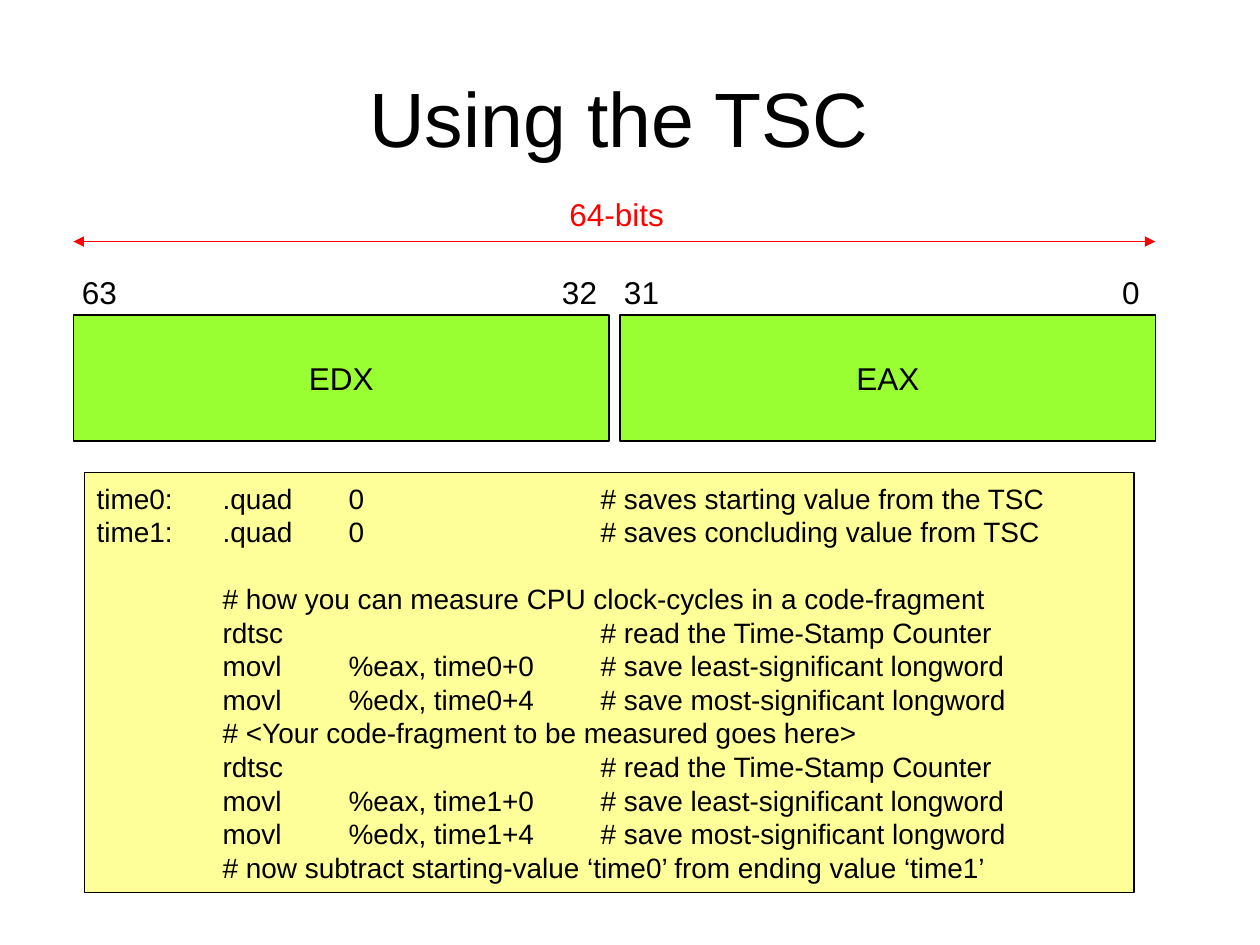
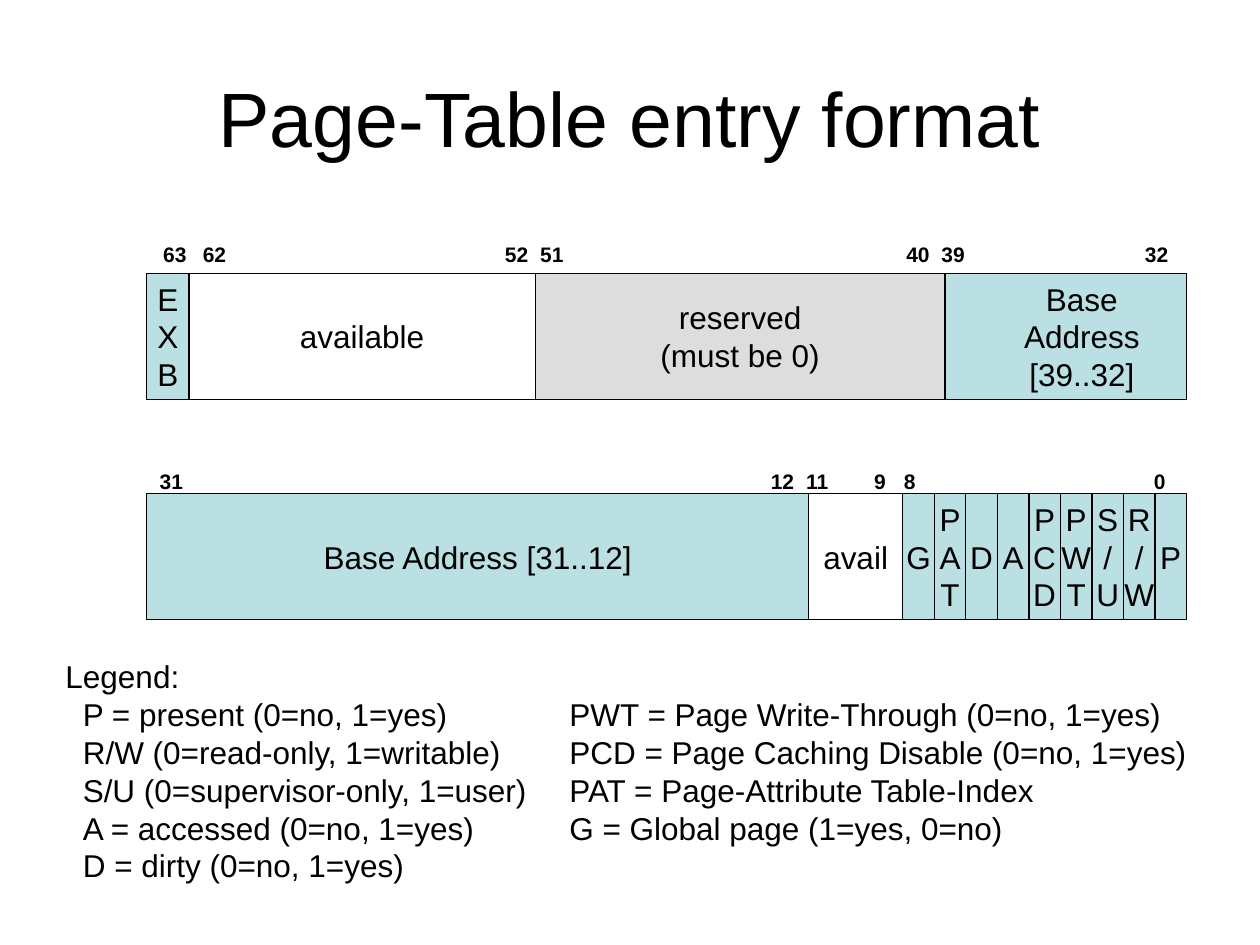
from dataclasses import dataclass
from lxml import etree
from pptx import Presentation
from pptx import util as u
from pptx.dml.color import RGBColor
from pptx.enum import shapes, text
from pptx.oxml import ns

Cm = u.Cm


@dataclass(frozen=True)
class Theme:
    font: str = "Arial"
    ink: str = "000000"
    red: str = "FF0000"
    white: str = "FFFFFF"
    green: str = "99FF33"
    yellow: str = "FFFF99"
    teal: str = "BBE0E3"
    grey: str = "DDDDDD"
    title: int = 44
    body: int = 18
    code: int = 16
    bits: int = 12
    line: float = 0.75


class Deck:
    def __init__(self, theme):
        self.theme = theme
        self.presentation = Presentation()
        self.presentation.slide_width = Cm(25.4)
        self.presentation.slide_height = Cm(19.05)
        self.slide = None

    def new_slide(self, title):
        layout = self.presentation.slide_layouts[6]
        self.slide = self.presentation.slides.add_slide(layout)
        self.label(1.27, 0.76, 22.86, 3.18, [title], size=self.theme.title,
                   align=text.PP_ALIGN.CENTER, anchor=text.MSO_ANCHOR.MIDDLE)

    def set_text(self, shape, lines, size=None, color=None, bold=False, tabs=(),
                 align=text.PP_ALIGN.LEFT, anchor=text.MSO_ANCHOR.TOP):
        frame = shape.text_frame
        frame.word_wrap = bool(tabs)
        frame.vertical_anchor = anchor
        if tabs:
            frame.margin_right = 0
        for index, line in enumerate(lines):
            paragraph = frame.add_paragraph() if index else frame.paragraphs[0]
            paragraph.text = line
            paragraph.alignment = align
            if tabs:
                self.set_tabs(paragraph, tabs)
            paragraph.font.name = self.theme.font
            paragraph.font.size = u.Pt(size or self.theme.body)
            paragraph.font.bold = bold
            paragraph.font.color.rgb = RGBColor.from_string(color or self.theme.ink)

    def set_tabs(self, paragraph, tabs):
        properties = paragraph._p.get_or_add_pPr()
        tab_list = etree.SubElement(properties, ns.qn("a:tabLst"))
        for position in tabs:
            etree.SubElement(tab_list, ns.qn("a:tab"), pos=str(Cm(position)), algn="l")

    def label(self, left, top, width, height, lines, **style):
        shape = self.slide.shapes.add_textbox(Cm(left), Cm(top), Cm(width), Cm(height))
        self.set_text(shape, lines, **style)

    def box(self, left, top, width, height, fill, lines, **style):
        shape = self.slide.shapes.add_shape(
            shapes.MSO_SHAPE.RECTANGLE, Cm(left), Cm(top), Cm(width), Cm(height))
        shape.shadow.inherit = False
        shape.fill.solid()
        shape.fill.fore_color.rgb = RGBColor.from_string(fill)
        shape.line.color.rgb = RGBColor.from_string(self.theme.ink)
        shape.line.width = u.Pt(self.theme.line)
        style.setdefault("align", text.PP_ALIGN.CENTER)
        self.set_text(shape, lines, anchor=text.MSO_ANCHOR.MIDDLE, **style)
        return shape

    def fields(self, left, top, cells):
        drawn = []
        for width, fill, lines in cells:
            drawn.append(self.box(left, top, width, 2.54, fill, lines))
            left += width
        return drawn

    def bit_numbers(self, left, top, width, height, numbers, **style):
        line = "".join(f"\t{number}" for number in numbers)
        self.label(left, top, width, height, [line], tabs=numbers.values(), **style)

    def double_arrow(self, left, right, y, color):
        connector = self.slide.shapes.add_connector(
            shapes.MSO_CONNECTOR.STRAIGHT, Cm(left), Cm(y), Cm(right), Cm(y))
        connector.line.color.rgb = RGBColor.from_string(color)
        connector.line.width = u.Pt(self.theme.line)
        properties = connector._element.spPr
        for end in ("a:headEnd", "a:tailEnd"):
            etree.SubElement(properties.find(ns.qn("a:ln")), ns.qn(end), type="triangle")
        etree.SubElement(properties, ns.qn("a:effectLst"))


def measuring(time):
    return [
        ("", "rdtsc", "", "# read the Time-Stamp Counter"),
        ("", "movl", f"%eax, {time}+0", "# save least-significant longword"),
        ("", "movl", f"%edx, {time}+4", "# save most-significant longword"),
    ]


def build_tsc(deck):
    theme = deck.theme
    deck.new_slide("Using the TSC ")
    for index, register in enumerate(["EDX", "EAX"]):
        deck.box(1.48 + index * 11.02, 6.35, 10.8, 2.54, theme.green, [register])
    deck.bit_numbers(1.22, 5.38, 22.02, 1.02,
                     {63: 0.18, 32: 9.86, 31: 11.11, 0: 21.15})
    deck.double_arrow(1.48, 23.29, 4.87, theme.red)
    deck.label(11.23, 3.81, 2.41, 1.02, ["64-bits"], color=theme.red)

    code = [
        ("time0:", ".quad", "0", "# saves starting value from the TSC"),
        ("time1:", ".quad", "0", "# saves concluding value from TSC"),
        ("", "# how you can measure CPU clock-cycles in a code-fragment"),
        *measuring("time0"),
        ("", "# <Your code-fragment to be measured goes here>"),
        *measuring("time1"),
        ("", "# now subtract starting-value ‘time0’ from ending value ‘time1’"),
    ]
    listing = deck.box(1.7, 9.53, 21.16, 8.46, theme.yellow,
                       ["\t".join(row) for row in code], size=theme.code,
                       tabs=(2.54, 5.08, 10.16), align=text.PP_ALIGN.LEFT)
    listing.text_frame.paragraphs[2].space_before = u.Pt(19)


def build_page_table(deck):
    theme = deck.theme
    deck.new_slide("Page-Table entry format")
    left = 2.96
    high_cells = deck.fields(left, 5.51, [
        (0.85, theme.teal, list("EXB")),
        (6.98, theme.white, ["available"]),
        (8.26, theme.grey, ["reserved", "(must be 0)"]),
        (4.87, theme.teal, ["Base", "Address", "[39..32]"]),
    ])
    high_cells[-1].text_frame.margin_left = Cm(0.9)
    deck.bit_numbers(3.02, 4.75, 20.85, 0.76,
                     {63: 0.02, 62: 0.82, 52: 6.91, 51: 7.62, 40: 15, 39: 15.71, 32: 19.81},
                     size=theme.bits, bold=True)

    flags = ["G", "PAT", "D", "A", "PCD", "PWT", "S/U", "R/W", "P"]
    flag_width = 5.72 / len(flags)
    deck.fields(left, 9.95, [
        (13.34, theme.teal, ["Base Address [31..12]"]),
        (1.9, theme.white, ["avail"]),
        *[(flag_width, theme.teal, list(flag)) for flag in flags],
    ])
    deck.bit_numbers(2.87, 9.32, 20.98, 0.76,
                     {31: 0.1, 12: 12.42, 11: 13.13, 9: 14.5, 8: 15.1, 0: 20.14},
                     size=theme.bits, bold=True)

    legend = [
        ("Legend:",),
        ("", "P = present (0=no, 1=yes)", "PWT = Page Write-Through (0=no, 1=yes)"),
        ("", "R/W (0=read-only, 1=writable)", "PCD = Page Caching Disable (0=no, 1=yes)"),
        ("", "S/U (0=supervisor-only, 1=user)", "PAT = Page-Attribute Table-Index"),
        ("", "A = accessed (0=no, 1=yes)", "G = Global page (1=yes, 0=no)"),
        ("", "D = dirty (0=no, 1=yes)"),
    ]
    deck.label(1.07, 13.13, 23.11, 4.83, ["\t".join(row) for row in legend],
               tabs=(0.35, 10.16))


def main():
    deck = Deck(Theme())
    build_tsc(deck)
    build_page_table(deck)
    deck.presentation.save("out.pptx")


if __name__ == "__main__":
    main()
